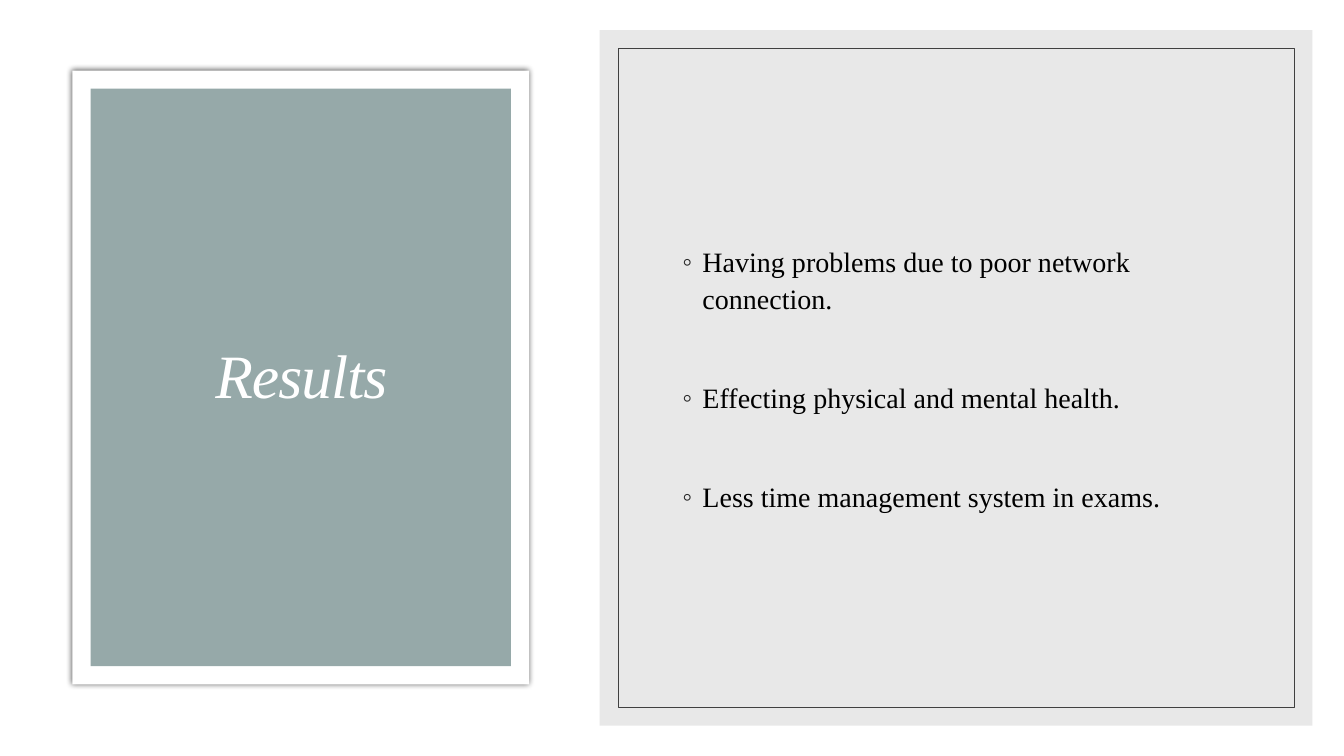
import pptx
import pptx.util
import pptx.dml.color
import pptx.enum.shapes
import pptx.enum.text
import pptx.oxml
import pptx.oxml.ns

Pt = pptx.util.Pt
FONT = "Times New Roman"
NS = pptx.oxml.ns.nsdecls("a")


def paint(target, color):
    """Give a fill a solid hex colour."""
    target.solid()
    target.fore_color.rgb = pptx.dml.color.RGBColor.from_string(color)


def panel(left, top, width, height, fill=None, line=None):
    """Add a plain rectangle, in points, with optional fill and outline."""
    box = slide.shapes.add_shape(
        pptx.enum.shapes.MSO_SHAPE.RECTANGLE,
        Pt(left), Pt(top), Pt(width), Pt(height))
    box.shadow.inherit = False
    if fill:
        paint(box.fill, fill)
    else:
        box.fill.background()
    if line:
        paint(box.line.fill, line)
        box.line.width = Pt(0.5)
    else:
        box.line.fill.background()
    return box


deck = pptx.Presentation()
deck.slide_width, deck.slide_height = Pt(960), Pt(540)
slide = deck.slides.add_slide(deck.slide_layouts[1])
paint(slide.background.fill, "FFFFFF")

# Panels: each inner one sits 13 points inside its frame
inset = 13
panel(0, 0, 960, 540, "FFFFFF")
card = panel(51.8, 50.4, 326.2, 438.5, "FFFFFF")
panel(51.8 + inset, 50.4 + inset, 326.2 - 2 * inset, 438.5 - 2 * inset, "96A9A9")
sheet = panel(428.4, 21.6, 509, 496.8, "D9D9D9")
panel(428.4 + inset, 21.6 + inset, 509 - 2 * inset, 496.8 - 2 * inset, line="404040")

# Soft shadow around the card, and a translucent sheet
glow = card._element.spPr.find(pptx.oxml.ns.qn("a:effectLst"))
glow.append(pptx.oxml.parse_xml(
    f'<a:outerShdw {NS} blurRad="{Pt(4)}" dist="0" dir="0" algn="ctr" rotWithShape="0">'
    '<a:srgbClr val="000000"><a:alpha val="66000"/></a:srgbClr></a:outerShdw>'))
tint = sheet._element.spPr.find(
    pptx.oxml.ns.qn("a:solidFill") + "/" + pptx.oxml.ns.qn("a:srgbClr"))
tint.append(pptx.oxml.parse_xml(f'<a:alpha {NS} val="60000"/>'))

# Title and list go in front of the panels
title, body = slide.shapes.title, slide.placeholders[1]
for holder, place in ((title, (77.8, 93.6, 275, 353.5)),
                      (body, (480.2, 73.4, 407.5, 392.4))):
    holder.left, holder.top, holder.width, holder.height = map(Pt, place)
    frame = holder.text_frame
    frame.word_wrap = True
    frame.auto_size = pptx.enum.text.MSO_AUTO_SIZE.NONE
    frame.vertical_anchor = pptx.enum.text.MSO_ANCHOR.MIDDLE
    slide.shapes._spTree.append(holder._element)

para = title.text_frame.paragraphs[0]
para.alignment = pptx.enum.text.PP_ALIGN.CENTER
para.line_spacing = 0.9
run = para.add_run()
run.text = "Results"
run.font.name, run.font.size, run.font.italic = FONT, Pt(44), True
paint(run.font.fill, "FFFFFF")
run._r.get_or_add_rPr().set("spc", "-70")

points = ["Having problems due to poor network connection.",
          "Effecting physical and mental health.",
          "Less time management system in exams."]
for i, point in enumerate(points):
    para = body.text_frame.add_paragraph() if i else body.text_frame.paragraphs[0]
    para.line_spacing = 1.1
    para.space_before = Pt(44.3 if i else 9)
    props = para._p.get_or_add_pPr()
    props.set("marL", str(Pt(14.4)))
    props.set("indent", str(-Pt(14.4)))
    for mark in ('<a:buClr {}><a:srgbClr val="262626"/></a:buClr>',
                 '<a:buChar {} char="◦"/>'):
        props.append(pptx.oxml.parse_xml(mark.format(NS)))
    run = para.add_run()
    run.text = point
    run.font.name, run.font.size = FONT, Pt(20)
    paint(run.font.fill, "000000")

deck.save("out.pptx")
